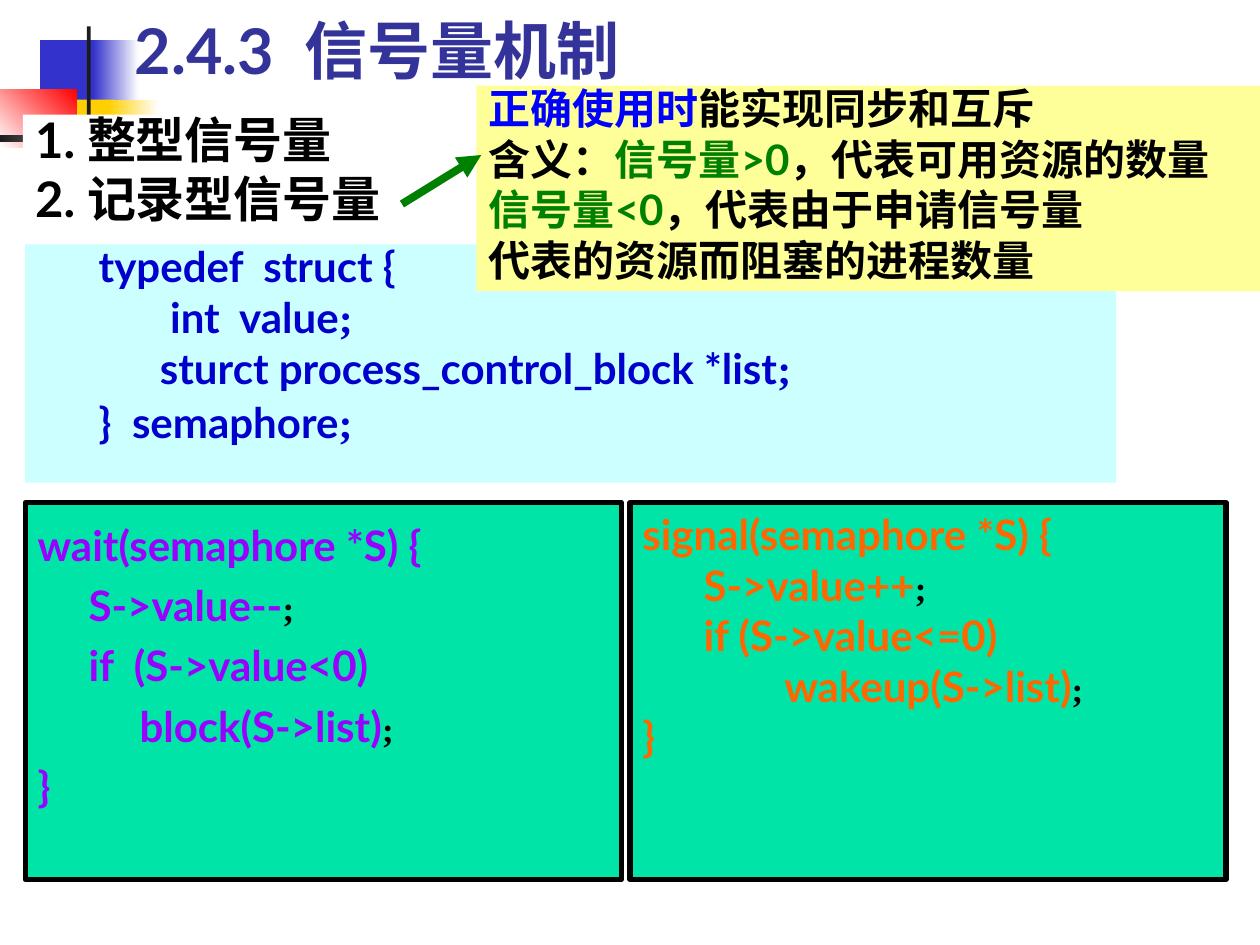
from dataclasses import dataclass

from lxml.etree import SubElement
from pptx import Presentation
from pptx.dml.color import RGBColor as RGB
from pptx.enum.shapes import MSO_CONNECTOR as CONNECTOR, MSO_SHAPE as SHAPE
from pptx.enum.text import MSO_ANCHOR as ANCHOR, MSO_AUTO_SIZE as AUTO, PP_ALIGN as ALIGN
from pptx.oxml.ns import qn
from pptx.util import Pt


@dataclass(frozen=True)
class Theme:
    sans: str = "Lato"
    serif: str = "Times New Roman"
    black: str = "000000"
    white: str = "FFFFFF"
    title: str = "333399"
    blue: str = "0000FF"
    green: str = "008000"
    struct: str = "0000CC"
    wait: str = "9900FF"
    signal: str = "FF6600"
    struct_fill: str = "CCFFFF"
    note_fill: str = "FFFF99"
    panel_fill: str = "00E4A8"
    square_blue: str = "3333CC"
    square_gold: str = "FFCF01"
    square_red: str = "FF0000"
    bar: str = "1C1C1C"
    title_size: int = 36
    list_size: int = 28
    body_size: int = 24
    mark_size: int = 20


T = Theme()

STRUCT = [
    "      typedef  struct {",
    "             int  value;",
    "            sturct process_control_block *list;",
    "      }  semaphore;",
]
WAIT = [
    "wait(semaphore *S) {",
    "     S->value--;",
    "     if  (S->value<0)",
    "          block(S->list);",
    "}",
]
SIGNAL = [
    "signal(semaphore *S) {",
    "      S->value++;",
    "      if (S->value<=0)",
    "              wakeup(S->list);",
    "}",
]


def set_attrs(obj, values):
    for name, value in values.items():
        setattr(obj, name, value)


def add_run(p, text, color, size=T.body_size, font=T.sans):
    r = p.add_run()
    r.text = text
    set_attrs(r.font, {"name": font, "size": Pt(size), "bold": True})
    r.font.color.rgb = RGB.from_string(color)


def add_rect(slide, box, colors, angle=0, border=0):
    sp = slide.shapes.add_shape(SHAPE.RECTANGLE, *map(Pt, box))
    sp.shadow.inherit = False
    if len(colors) == 1:
        sp.fill.solid()
        sp.fill.fore_color.rgb = RGB.from_string(colors[0])
    else:
        sp.fill.gradient()
        sp.fill.gradient_angle = angle
        for stop, color in zip(sp.fill.gradient_stops, colors):
            stop.color.rgb = RGB.from_string(color)
    if border:
        sp.line.width = Pt(border)
        sp.line.color.rgb = RGB.from_string(T.black)
    else:
        sp.line.fill.background()
    return sp


def format_frame(tf, anchor=ANCHOR.TOP, right=7.2):
    set_attrs(tf, {
        "word_wrap": True, "auto_size": AUTO.NONE, "vertical_anchor": anchor,
        "margin_left": Pt(7.2), "margin_right": Pt(right),
        "margin_top": Pt(3.6), "margin_bottom": Pt(3.6),
    })


def add_paragraphs(tf, count, spacing=1.0, before=0):
    for i in range(count):
        p = tf.add_paragraph() if i else tf.paragraphs[0]
        set_attrs(p, {"alignment": ALIGN.LEFT, "line_spacing": spacing,
                      "space_before": Pt(before if i else 0)})
    return tf.paragraphs


def add_code(sp, lines, color, mark_color, mark_size, spacing=1.0, before=0):
    format_frame(sp.text_frame)
    paragraphs = add_paragraphs(sp.text_frame, len(lines), spacing, before)
    for p, line in zip(paragraphs, lines):
        code, mark, _ = line.partition(";")
        add_run(p, code, color)
        if mark:
            add_run(p, mark, mark_color, mark_size, T.serif)
    return paragraphs


def add_decoration(slide):
    add_rect(slide, (23, 23, 34.6, 37.4), [T.square_blue])
    add_rect(slide, (53.3, 23, 25.9, 37.4), [T.square_blue, T.white])
    add_rect(slide, (32.4, 56.9, 33.1, 37.4), [T.square_gold])
    add_rect(slide, (61.9, 56.9, 28.8, 37.4), [T.square_gold, T.white])
    add_rect(slide, (0, 51.1, 43.9, 33.1), [T.white, T.square_red], angle=45)
    add_rect(slide, (49.7, 15.1, 2.2, 82.8), [T.bar])
    add_rect(slide, (0, 77, 87.8, 4.3), [T.bar, T.white])


def add_title(slide):
    sp = slide.shapes.title
    box = zip(("left", "top", "width", "height"), map(Pt, (69.8, -2.2, 613.4, 55.4)))
    set_attrs(sp, dict(box))
    format_frame(sp.text_frame, ANCHOR.BOTTOM)
    p, = add_paragraphs(sp.text_frame, 1)
    add_run(p, "2.4.3  信号量机制", T.title, T.title_size)
    sp.element.getparent().append(sp.element)


def add_topics(slide):
    sp = add_rect(slide, (13, 65.5, 219.6, 68.4), [T.white])
    format_frame(sp.text_frame, right=0)
    topics = ["1. 整型信号量", "2. 记录型信号量"]
    for p, topic in zip(add_paragraphs(sp.text_frame, 2, 0.8, 7), topics):
        add_run(p, topic, T.black, T.list_size)


def add_note(slide):
    sp = add_rect(slide, (272.2, 49, 447.8, 117.4), [T.note_fill])
    format_frame(sp.text_frame)
    lines = [
        (0, [("正确使用时", T.blue), ("能实现同步和互斥", T.black)]),
        (0, [("含义：", T.black), ("信号量>0", T.green), ("，代表可用资源的数量", T.black)]),
        (60, [("信号量<0", T.green), ("，代表由于申请信号量", T.black)]),
        (87, [("代表的资源而阻塞的进程数量", T.black)]),
    ]
    paragraphs = add_paragraphs(sp.text_frame, len(lines), 0.8, 6)
    for p, (indent, runs) in zip(paragraphs, lines):
        set_attrs(p._p.get_or_add_pPr(), {"marL": Pt(indent), "indent": 0})
        for text, color in runs:
            add_run(p, text, color)


def add_arrow(slide, start, end):
    c = slide.shapes.add_connector(CONNECTOR.STRAIGHT, *map(Pt, start + end))
    c.line.width = Pt(4.5)
    c.line.color.rgb = RGB.from_string(T.green)
    SubElement(c.line._get_or_add_ln(), qn("a:tailEnd"), type="triangle")
    SubElement(c._element.spPr, qn("a:effectLst"))


def main():
    prs = Presentation()
    set_attrs(prs, {"slide_width": Pt(720), "slide_height": Pt(540)})
    slide = prs.slides.add_slide(prs.slide_layouts[5])
    add_decoration(slide)

    panels = [(WAIT, T.wait, 1.2), (SIGNAL, T.signal, 1.0)]
    for i, (lines, color, spacing) in enumerate(panels):
        box = (14.4 + i * 345.6, 287.3, 340.6, 215.3)
        sp = add_rect(slide, box, [T.panel_fill], border=3)
        add_code(sp, lines, color, T.black, T.mark_size, spacing)

    add_topics(slide)
    sp = add_rect(slide, (14.4, 139.7, 623.5, 136.1), [T.struct_fill])
    paragraphs = add_code(sp, STRUCT, T.struct, T.struct, T.body_size, 0.8, 6)
    paragraphs[-1].space_before = Pt(8)
    add_note(slide)
    add_arrow(slide, (229.7, 116.6), (275, 88.6))
    add_title(slide)
    prs.save("out.pptx")


if __name__ == "__main__":
    main()
